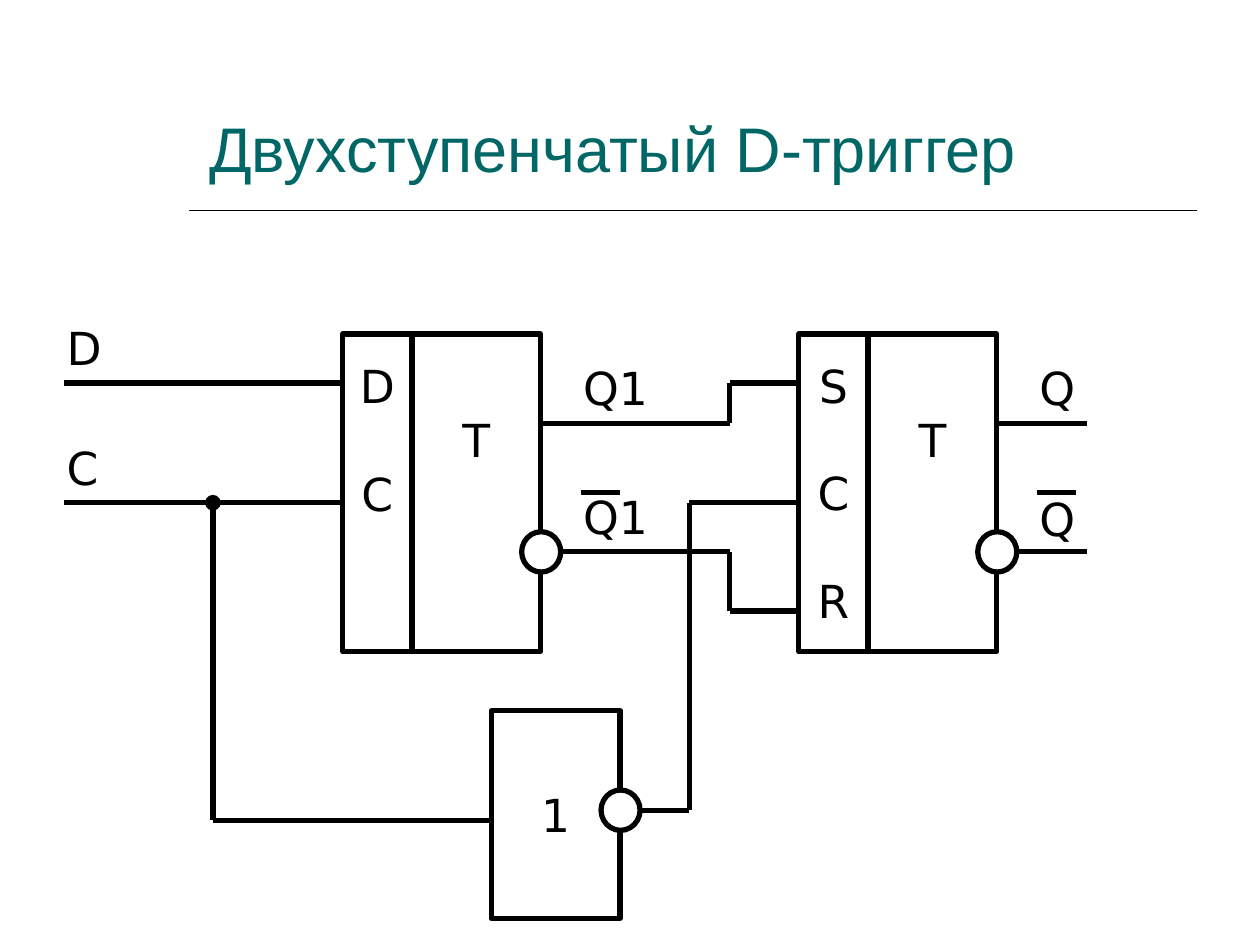
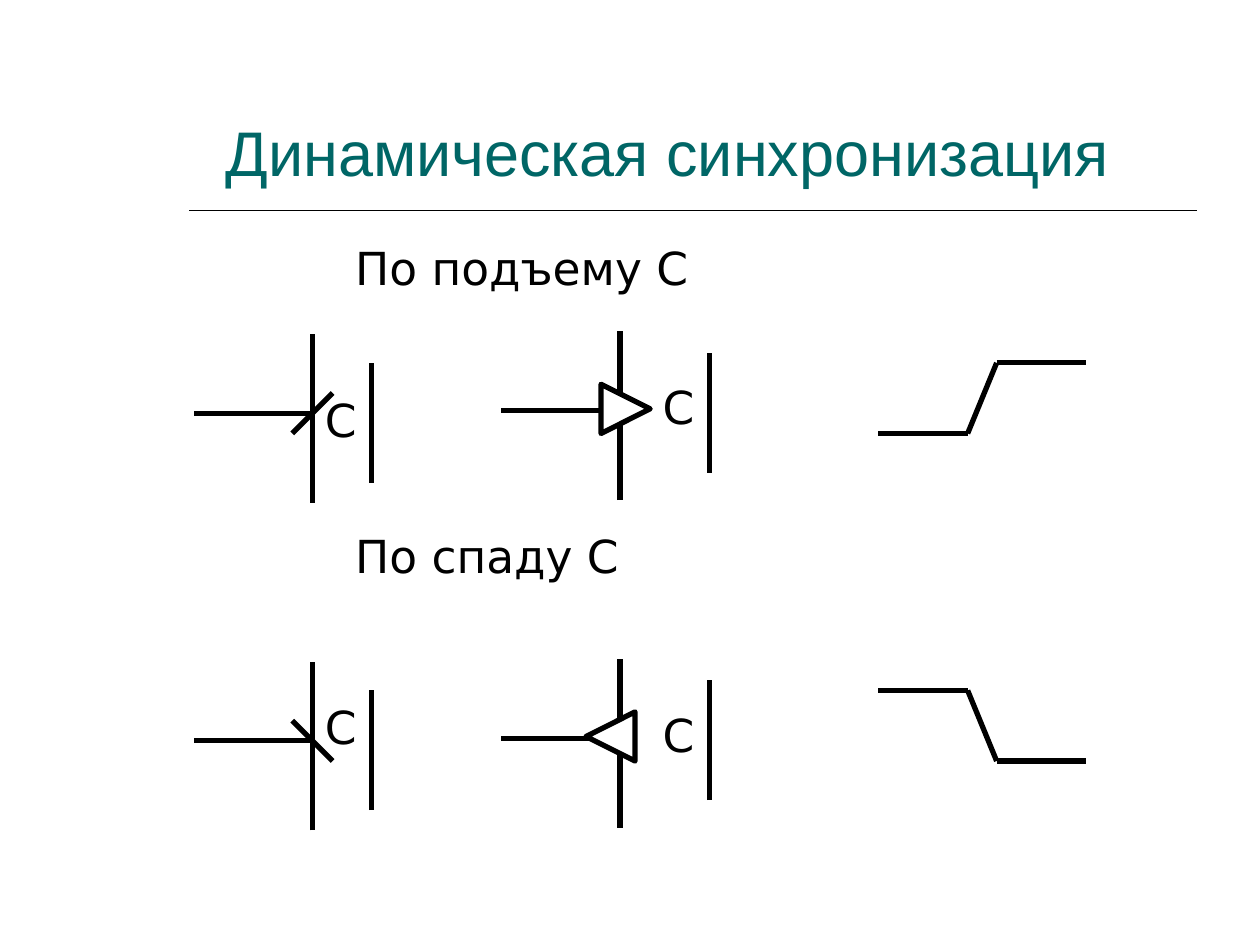
import pptx
import pptx.util
import pptx.dml.color
import pptx.enum.shapes
import pptx.enum.text
import pptx.oxml.ns
import lxml.etree

Inches, Pt = pptx.util.Inches, pptx.util.Pt
MSO_SHAPE = pptx.enum.shapes.MSO_SHAPE
ANCHOR = pptx.enum.text.MSO_ANCHOR
ALIGN = pptx.enum.text.PP_ALIGN
qn = pptx.oxml.ns.qn

TEAL = pptx.dml.color.RGBColor(0x00, 0x66, 0x66)
BLACK = pptx.dml.color.RGBColor(0x00, 0x00, 0x00)
WHITE = pptx.dml.color.RGBColor(0xFF, 0xFF, 0xFF)

LABEL_SIZE = 26
ROW = 30.3  # height of one label line, points
TITLE_ONLY = 5


def write(tf, text, size=LABEL_SIZE, font="DejaVu Sans", color=BLACK,
          align=ALIGN.LEFT, anchor=ANCHOR.TOP, wrap=True, gap=0, lift=0):
    """Fill tf line by line; gap separates lines and lift raises centred text (points)."""
    tf.word_wrap = wrap
    tf.auto_size = pptx.enum.text.MSO_AUTO_SIZE.NONE
    tf.vertical_anchor = anchor
    tf.margin_left = tf.margin_right = Inches(0.1)
    tf.margin_top = Inches(0.05)
    tf.margin_bottom = Inches(0.05) + Pt(lift)
    for i, line in enumerate(text.split("\n")):
        p = tf.add_paragraph() if i else tf.paragraphs[0]
        p.alignment = align
        p.space_before = Pt(gap if i else 0)
        r = p.add_run()
        r.text = line
        r.font.size = Pt(size)
        r.font.name = font
        r.font.color.rgb = color


class Diagram:
    """Drawing style together with the slide being drawn."""

    def __init__(self, prs):
        self.prs = prs
        self.s = None

    def new_slide(self, title, left, top, width, height):
        self.s = self.prs.slides.add_slide(self.prs.slide_layouts[TITLE_ONLY])
        sp = self.s.shapes.title
        sp.left, sp.top = Inches(left), Inches(top)
        sp.width, sp.height = Inches(width), Inches(height)
        write(sp.text_frame, title, size=36, font="Arial", color=TEAL,
              anchor=ANCHOR.BOTTOM)
        self.wire((1.5, 1.67), (9.5, 1.67), weight=1)

    def wire(self, *points, weight=3, dot=False):
        """Join the points by straight lines; dot marks a junction at the last one."""
        for (x1, y1), (x2, y2) in zip(points, points[1:]):
            c = self.s.shapes.add_connector(
                pptx.enum.shapes.MSO_CONNECTOR.STRAIGHT,
                Inches(x1), Inches(y1), Inches(x2), Inches(y2))
            c.line.color.rgb = BLACK
            c.line.width = Pt(weight)
            lxml.etree.SubElement(c._element.spPr, qn("a:effectLst"))
        if dot:
            ln = c.line._get_or_add_ln()
            lxml.etree.SubElement(ln, qn("a:tailEnd"), type="oval")

    def shape(self, kind, left, top, width, height, rotation=0):
        sp = self.s.shapes.add_shape(
            kind, Inches(left), Inches(top), Inches(width), Inches(height))
        sp.shadow.inherit = False
        sp.fill.solid()
        sp.fill.fore_color.rgb = WHITE
        sp.line.color.rgb = BLACK
        sp.line.width = Pt(3)
        sp.rotation = rotation
        return sp

    def box(self, text, left, top, width, height, **fmt):
        sp = self.shape(MSO_SHAPE.RECTANGLE, left, top, width, height)
        write(sp.text_frame, text, align=ALIGN.CENTER, anchor=ANCHOR.MIDDLE,
              wrap=False, **fmt)

    def bubble(self, x, y):
        """Inverting output centred on (x, y)."""
        self.shape(MSO_SHAPE.OVAL, x - 0.15, y - 0.16, 0.31, 0.32)

    def triangle(self, x, y, rotation):
        self.shape(MSO_SHAPE.ISOSCELES_TRIANGLE, x - 0.2, y - 0.2, 0.39, 0.39, rotation)

    def label(self, text, left, top, width=0.86):
        tb = self.s.shapes.add_textbox(
            Inches(left), Inches(top), Inches(width), Inches(0.54))
        write(tb.text_frame, text)

    def flip_flop(self, left, inputs, output, inverse_top, lift=0):
        """Two-part block with its input names and a direct and an inverse output label."""
        top, height = 2.65, 2.52
        right = left + 1.57
        self.box(inputs, left, top, 0.55, height, gap=ROW, lift=lift)
        self.box("T", left + 0.55, top, 1.02, height, lift=2 * ROW)
        self.bubble(right, 4.38)
        self.label(output, right + 0.24, 2.81)
        self.label(output, right + 0.24, inverse_top)
        self.wire((right + 0.32, 3.91), (right + 0.63, 3.91))


def draw_two_stage_trigger(d):
    d.new_slide("Двухступенчатый D-триггер", 1.56, 0.39, 7.88, 1.13)
    data_y, clock_y, reset_y = 3.04, 3.99, 4.85
    q_y, inverse_y = 3.36, 4.38
    step_x, branch_x, clock_x = 5.79, 1.69, 5.47

    for name, y in (("D", data_y), ("С", clock_y)):
        d.label(name, 0.43, y - 0.55, 0.71)
        d.wire((0.51, y), (2.72, y))
    d.wire((3.9, 6.51), (branch_x, 6.51), (branch_x, clock_y), dot=True)
    d.wire((4.29, q_y), (step_x, q_y), (step_x, data_y), (6.34, data_y))
    d.wire((4.29, inverse_y), (step_x, inverse_y), (step_x, reset_y), (6.34, reset_y))
    d.wire((4.92, 6.43), (clock_x, 6.43), (clock_x, clock_y), (6.34, clock_y))
    for y in (q_y, inverse_y):
        d.wire((7.91, y), (8.63, y))

    d.flip_flop(2.72, "D\nC", "Q1", 3.83, lift=2 * ROW)
    d.flip_flop(6.34, "S\nC\nR", "Q", 3.85)
    d.box("1", 3.9, 5.64, 1.02, 1.65)
    d.bubble(4.92, 6.43)


def draw_edge_row(d, y, caption, caption_top, label_top, rising):
    """Symbols of one clock edge: slash, triangle and waveform."""
    d.label(caption, 2.72, caption_top, 2.91)

    d.wire((1.54, y), (2.48, y))
    d.wire((2.48, y + 0.71), (2.48, y - 0.63))
    d.wire((2.95, y + 0.55), (2.95, y - 0.4))
    d.label("С", 2.48, label_top, 0.71)
    slope = 0.16 if rising else -0.16
    d.wire((2.32, y + slope), (2.64, y - slope))

    d.wire((3.98, y - 0.02), (4.92, y - 0.02))
    d.wire((4.92, y + 0.69), (4.92, y - 0.65))
    d.wire((5.63, y + 0.47), (5.63, y - 0.48))
    d.label("С", 5.16, y - 0.32, 0.71)
    d.triangle(4.97 if rising else 4.85, y - 0.03, 90 if rising else 270)

    low, high = y + 0.16, y - 0.4
    start, end = (low, high) if rising else (high, low)
    d.wire((6.97, start), (7.68, start), (7.91, end), (8.62, end))


def draw_dynamic_clocking(d):
    d.new_slide("Динамическая синхронизация", 1.69, 0.08, 7.84, 1.47)
    draw_edge_row(d, 3.28, "По подъему С", 1.86, 3.06, rising=True)
    draw_edge_row(d, 5.88, "По спаду С", 4.14, 5.5, rising=False)


def main():
    prs = pptx.Presentation()
    prs.slide_width, prs.slide_height = Inches(10), Inches(7.5)
    d = Diagram(prs)
    draw_two_stage_trigger(d)
    draw_dynamic_clocking(d)
    prs.save("out.pptx")


if __name__ == "__main__":
    main()
